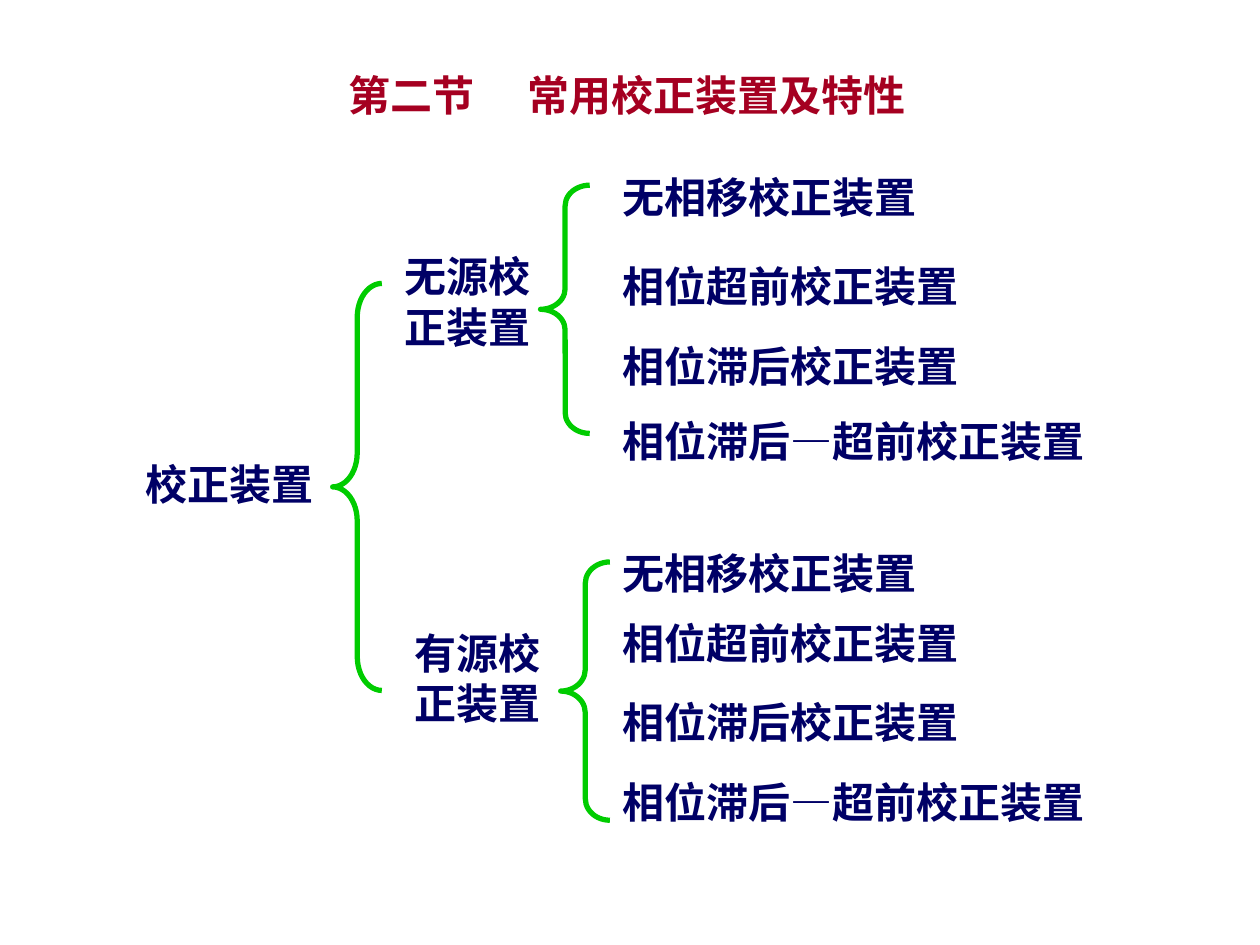
from lxml import etree
from pptx import Presentation
from pptx.dml.color import RGBColor
from pptx.enum.shapes import MSO_SHAPE
from pptx.oxml.ns import qn
from pptx.util import Inches, Pt

BRACE = MSO_SHAPE.LEFT_BRACE
COLORS = {"title": "A50021", "text": "000066", "brace": "00CC00"}
FONT = "Times New Roman"
COLS, ROWS = 100, 75
CELL = Inches(0.1)
LINE_ROWS = 5
LEAVES = [
    ("无相移校正装置", 28.4),
    ("相位超前校正装置", 34.7),
    ("相位滞后校正装置", 34.7),
    ("相位滞后—超前校正装置", 40.9),
]


def grid(*cells):
    """Turn columns and rows of the grid into lengths."""
    return [round(n * CELL) for n in cells]


def add_label(s, box, text, color="text", tab=None):
    """Place one bold label in a box, with an optional tab stop in columns."""
    tf = s.shapes.add_textbox(*grid(*box)).text_frame
    tf.word_wrap = True
    p = tf.paragraphs[0]
    if tab:
        tabs = etree.SubElement(p._p.get_or_add_pPr(), qn("a:tabLst"))
        etree.SubElement(tabs, qn("a:tab"), pos=str(grid(tab)[0]), algn="l")
    r = p.add_run()
    r.text = text
    r.font.name = FONT
    r.font.size = Pt(24)
    r.font.bold = True
    r.font.color.rgb = RGBColor.from_string(COLORS[color])


def add_brace(s, box):
    """Draw a left brace whose curls are a twelfth of its height."""
    sp = s.shapes.add_shape(BRACE, *grid(*box))
    sp.shadow.inherit = False
    sp.adjustments[0] = box[3] / 12 / box[2]
    sp.fill.background()
    sp.line.color.rgb = RGBColor.from_string(COLORS["brace"])
    sp.line.width = Pt(3)


def add_title(s, box):
    """Place the section heading."""
    add_label(s, box, "第二节\t常用校正装置及特性", "title", tab=14.17)


def add_root(s, label_box, brace_box):
    """Place the root of the tree and its brace."""
    add_label(s, label_box, "校正装置")
    add_brace(s, brace_box)


def add_branch(s, name, label_box, brace_box, leaf_left, leaf_tops):
    """Place a branch label, its brace and its column of leaves."""
    add_label(s, label_box, name)
    add_brace(s, brace_box)
    for (text, width), top in zip(LEAVES, leaf_tops):
        add_label(s, (leaf_left, top, width, LINE_ROWS), text)


def main():
    """Build the slide and save it."""
    prs = Presentation()
    prs.slide_width, prs.slide_height = grid(COLS, ROWS)
    s = prs.slides.add_slide(prs.slide_layouts[6])
    add_title(s, (26.7, 5, 48.3, LINE_ROWS))
    add_root(s, (10.6, 35.9, 15.7, LINE_ROWS), (26.4, 22.5, 3.9, 32.3))
    add_branch(s, "无源校正装置", (31.1, 19.4, 14.2, 9),
               (42.9, 14.7, 3.9, 19.7), 48.4, (13.1, 20.2, 26.5, 32.5))
    add_branch(s, "有源校正装置", (31.9, 49.3, 12.6, 9),
               (44.5, 44.6, 3.9, 20.5), 48.4, (43, 48.5, 54.8, 61.1))
    prs.save("out.pptx")


if __name__ == "__main__":
    main()
